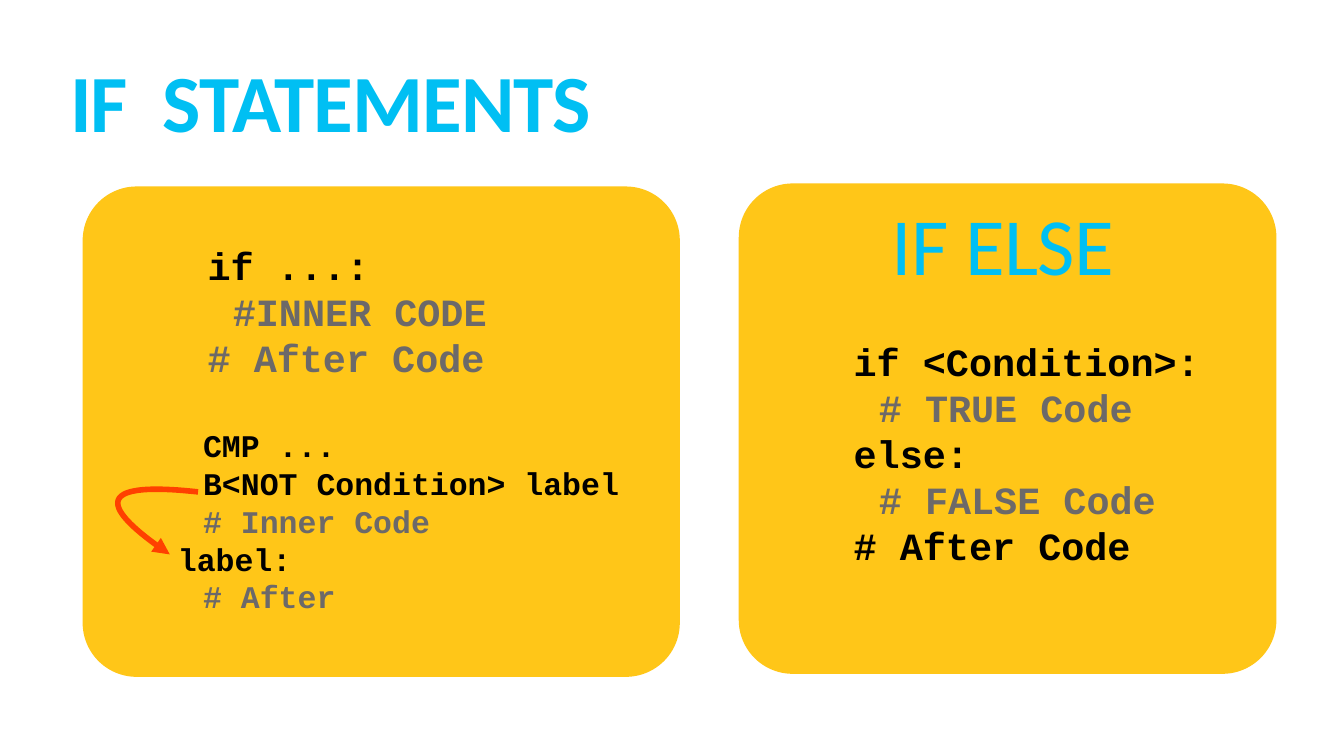
from lxml.etree import SubElement
from pptx import Presentation
from pptx.dml.color import RGBColor
from pptx.enum.shapes import MSO_SHAPE
from pptx.enum.text import MSO_ANCHOR, MSO_AUTO_SIZE, PP_ALIGN
from pptx.oxml.ns import qn
from pptx.util import Pt

PX = 9144
INSET = 6
INDENT = 50
COLORS = {
    "panel": "FFC618",
    "heading": "00BFF3",
    "code": "000000",
    "comment": "6C6969",
    "jump": "FF4000",
}


def emu(*lengths):
    return [length * PX for length in lengths]


def color(name):
    return RGBColor.from_string(COLORS[name])


def add_panel(slide, box):
    panel = slide.shapes.add_shape(MSO_SHAPE.ROUNDED_RECTANGLE, *emu(*box))
    panel.adjustments[0] = 0.11
    panel.shadow.inherit = False
    panel.fill.solid()
    panel.fill.fore_color.rgb = color("panel")
    panel.line.fill.background()


def add_text_frame(slide, box, anchor):
    frame = slide.shapes.add_textbox(*emu(*box)).text_frame
    frame.margin_left = frame.margin_right = INSET * PX
    frame.margin_top = frame.margin_bottom = INSET * PX
    frame.vertical_anchor = anchor
    return frame


def style(paragraph, face, size, tone, bold):
    paragraph.alignment = PP_ALIGN.LEFT
    font = paragraph.font
    font.name = face
    font.size = Pt(size)
    font.bold = bold
    font.color.rgb = color(tone)


def add_heading(slide, box, text, anchor, bold):
    frame = add_text_frame(slide, box, anchor)
    frame.word_wrap = True
    heading = frame.paragraphs[0]
    heading.text = text
    heading.line_spacing = 0.8
    style(heading, "Calibri", 116, "heading", bold)
    heading._p.pPr.find(qn("a:defRPr")).set("spc", "-120")


def add_code(slide, box, size, lines):
    frame = add_text_frame(slide, box, MSO_ANCHOR.MIDDLE)
    frame.word_wrap = False
    frame.auto_size = MSO_AUTO_SIZE.SHAPE_TO_FIT_TEXT
    for number, (text, tone, indented) in enumerate(lines):
        line = frame.add_paragraph() if number else frame.paragraphs[0]
        line.text = text
        style(line, "Courier New", size, tone, True)
        if indented:
            line._p.pPr.set("marL", "0")
            line._p.pPr.set("indent", str(INDENT * PX))


def bezier_point(controls, t):
    weights = ((1 - t) ** 3, 3 * t * (1 - t) ** 2, 3 * t ** 2 * (1 - t), t ** 3)
    return tuple(
        round(PX * sum(w * value for w, value in zip(weights, axis)))
        for axis in zip(*controls)
    )


def add_jump_arrow(slide, controls, steps=40):
    points = [bezier_point(controls, step / steps) for step in range(steps + 1)]
    builder = slide.shapes.build_freeform(*points[0])
    builder.add_line_segments(points[1:], close=False)
    jump = builder.convert_to_shape()
    jump.shadow.inherit = False
    jump.fill.background()
    jump.line.color.rgb = color("jump")
    jump.line.width = Pt(8)
    SubElement(jump.line._get_or_add_ln(), qn("a:tailEnd"), type="triangle")


def main():
    deck = Presentation()
    deck.slide_width, deck.slide_height = emu(2667, 1500)
    slide = deck.slides.add_slide(deck.slide_layouts[6])

    add_panel(slide, (164, 370, 1185, 973))
    add_heading(slide, (133, 133, 2400, 251), "IF  STATEMENTS", MSO_ANCHOR.TOP, True)
    add_code(slide, (406, 473, 571, 289), 55, [
        ("if ...:", "code", False),
        ("#INNER CODE", "comment", True),
        ("# After Code", "comment", False),
    ])

    add_panel(slide, (1466, 364, 1067, 973))
    add_heading(slide, (1764, 414, 471, 171), "IF ELSE", MSO_ANCHOR.MIDDLE, False)
    add_code(slide, (1688, 662, 705, 474), 55, [
        ("if <Condition>:", "code", False),
        ("# TRUE Code", "comment", True),
        ("else:", "code", False),
        ("# FALSE Code", "comment", True),
        ("# After Code", "code", False),
    ])

    add_code(slide, (347, 838, 895, 390), 45, [
        ("CMP ...", "code", True),
        ("B<NOT Condition> label", "code", True),
        ("# Inner Code", "comment", True),
        ("label:", "code", False),
        ("# After", "comment", True),
    ])
    add_jump_arrow(slide, [(393, 976), (201, 955), (183, 996), (337, 1100)])

    deck.save("out.pptx")


if __name__ == "__main__":
    main()
